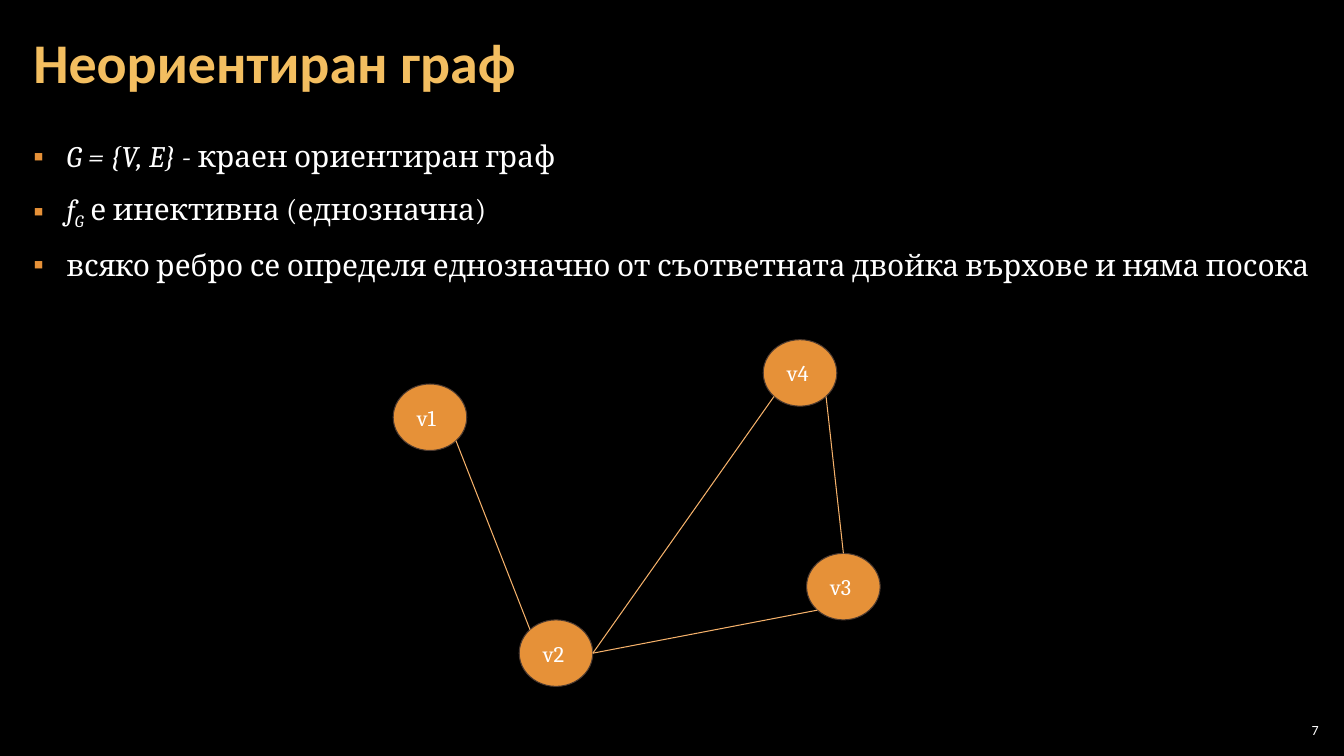
import math
from dataclasses import dataclass

from lxml import etree
from pptx import Presentation
from pptx.dml.color import RGBColor
from pptx.enum import shapes, text
from pptx.oxml import ns
from pptx.util import Inches, Pt


@dataclass(frozen=True)
class Theme:
    background: str = "000000"
    ink: str = "FFFFFF"
    title: str = "F3BE60"
    accent: str = "E69138"
    outline: str = "4E3B30"
    edge: str = "F6B26B"
    heading_font: str = "Calibri"
    body_font: str = "Cambria"
    title_size: float = 40
    body_size: float = 21.3
    node_size: float = 16
    number_size: float = 10
    line_width: float = 0.75


class GraphSlide:
    NODE_WIDTH, NODE_HEIGHT = 0.73, 0.66

    def __init__(self, presentation, theme):
        self.theme = theme
        self.slide = presentation.slides.add_slide(presentation.slide_layouts[1])
        self.nodes = {}
        fill = self.slide.background.fill
        fill.solid()
        fill.fore_color.rgb = RGBColor.from_string(theme.background)

    def place(self, shape, left, top, width, height):
        box = {"left": left, "top": top, "width": width, "height": height}
        for name, value in box.items():
            setattr(shape, name, Inches(value))

    def frame(self, shape, inset_x, inset_y, anchor=text.MSO_ANCHOR.MIDDLE):
        values = {
            "margin_left": Inches(inset_x), "margin_right": Inches(inset_x),
            "margin_top": Inches(inset_y), "margin_bottom": Inches(inset_y),
            "vertical_anchor": anchor, "word_wrap": True,
            "auto_size": text.MSO_AUTO_SIZE.NONE,
        }
        for name, value in values.items():
            setattr(shape.text_frame, name, value)
        return shape.text_frame

    def add_text(self, paragraph, content, size, font, color=None, **extra):
        run = paragraph.add_run()
        run.text = content
        for name, value in {"size": Pt(size), "name": font, **extra}.items():
            setattr(run.font, name, value)
        run.font.color.rgb = RGBColor.from_string(color or self.theme.ink)
        return run

    def title(self, content):
        shape = self.slide.shapes.title
        self.place(shape, 0.21, 0.04, 12.91, 1.21)
        paragraph = self.frame(shape, 0.12, 0.04).paragraphs[0]
        paragraph.alignment = text.PP_ALIGN.LEFT
        paragraph.line_spacing = 0.9
        self.add_text(paragraph, content, self.theme.title_size,
                      self.theme.heading_font, self.theme.title, bold=True)

    def bullet(self, paragraph):
        properties = paragraph._p.get_or_add_pPr()
        properties.set("marL", str(Inches(0.33)))
        properties.set("indent", str(-Inches(0.33)))
        color = etree.SubElement(properties, ns.qn("a:buClr"))
        etree.SubElement(color, ns.qn("a:srgbClr"), val=self.theme.accent)
        etree.SubElement(properties, ns.qn("a:buChar"), char="▪")

    def body(self, items):
        shape = self.slide.placeholders[1]
        self.place(shape, 0.21, 1.26, 12.91, 6.09)
        frame = self.frame(shape, 0.12, 0.04, text.MSO_ANCHOR.TOP)
        spacing = {"alignment": text.PP_ALIGN.JUSTIFY, "line_spacing": 1.2,
                   "space_before": Pt(0), "space_after": Pt(6)}
        for index, runs in enumerate(items):
            paragraph = frame.add_paragraph() if index else frame.paragraphs[0]
            self.bullet(paragraph)
            for name, value in spacing.items():
                setattr(paragraph, name, value)
            for content, italic, baseline in runs:
                run = self.add_text(paragraph, content, self.theme.body_size,
                                    self.theme.body_font, italic=italic)
                if baseline:
                    run._r.get_or_add_rPr().set("baseline", str(baseline * 1000))

    def outline(self, shape, color):
        shape.line.color.rgb = RGBColor.from_string(color)
        shape.line.width = Pt(self.theme.line_width)

    def node(self, name, left, top):
        shape = self.slide.shapes.add_shape(
            shapes.MSO_SHAPE.OVAL, Inches(left), Inches(top),
            Inches(self.NODE_WIDTH), Inches(self.NODE_HEIGHT))
        shape.shadow.inherit = False
        shape.fill.solid()
        shape.fill.fore_color.rgb = RGBColor.from_string(self.theme.accent)
        self.outline(shape, self.theme.outline)
        paragraph = self.frame(shape, 0.13, 0.13).paragraphs[0]
        paragraph.alignment = text.PP_ALIGN.LEFT
        self.add_text(paragraph, name, self.theme.node_size, self.theme.body_font)
        self.nodes[name] = (left, top)

    def rim(self, name, degrees):
        """Point on a node's rim, clockwise from its right side."""
        left, top = self.nodes[name]
        angle = math.radians(degrees)
        return (Inches(left + self.NODE_WIDTH / 2 * (1 + math.cos(angle))),
                Inches(top + self.NODE_HEIGHT / 2 * (1 + math.sin(angle))))

    def edge(self, start, end):
        line = self.slide.shapes.add_connector(
            shapes.MSO_CONNECTOR.STRAIGHT, *self.rim(*start), *self.rim(*end))
        self.outline(line, self.theme.edge)
        etree.SubElement(line._element.spPr, ns.qn("a:effectLst"))

    def number(self, content):
        shape = self.slide.shapes.add_textbox(
            Inches(12.65), Inches(7.14), Inches(0.47), Inches(0.21))
        paragraph = self.frame(shape, 0.04, 0.04).paragraphs[0]
        paragraph.alignment = text.PP_ALIGN.RIGHT
        self.add_text(paragraph, content, self.theme.number_size,
                      self.theme.heading_font)


def main():
    presentation = Presentation()
    presentation.slide_width = Inches(13.33)
    presentation.slide_height = Inches(7.5)
    page = GraphSlide(presentation, Theme())

    # Title and definition: each run is text, italic, baseline percent
    page.title("Неориентиран граф")
    page.body([
        [("G = {V, E} - ", True, 0), ("краен ориентиран граф", False, 0)],
        [("f", True, 0), ("G", True, -25), (" е инективна (еднозначна)", False, 0)],
        [("всяко ребро се определя еднозначно от съответната двойка върхове "
          "и няма посока", False, 0)],
    ])

    # Graph vertices
    for name, left, top in [("v1", 3.9, 3.81), ("v2", 5.15, 6.15),
                            ("v3", 8, 5.49), ("v4", 7.57, 3.37)]:
        page.node(name, left, top)

    # Graph edges between rim angles
    for start, end in [(("v1", 45), ("v2", 225)), (("v2", 0), ("v3", 135)),
                       (("v3", 270), ("v4", 45)), (("v2", 0), ("v4", 135))]:
        page.edge(start, end)

    # Page number
    page.number("7")
    presentation.save("out.pptx")


if __name__ == "__main__":
    main()
